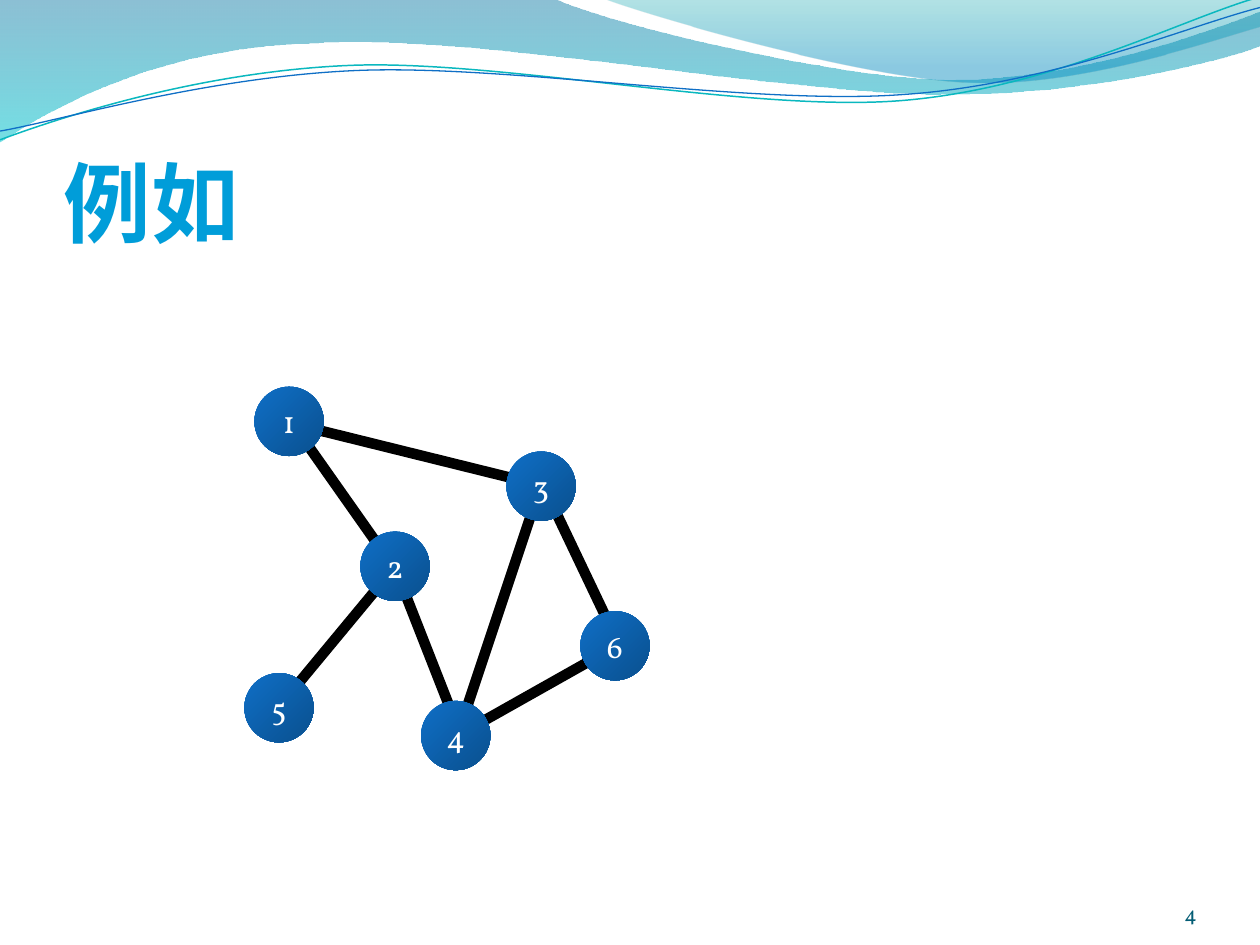
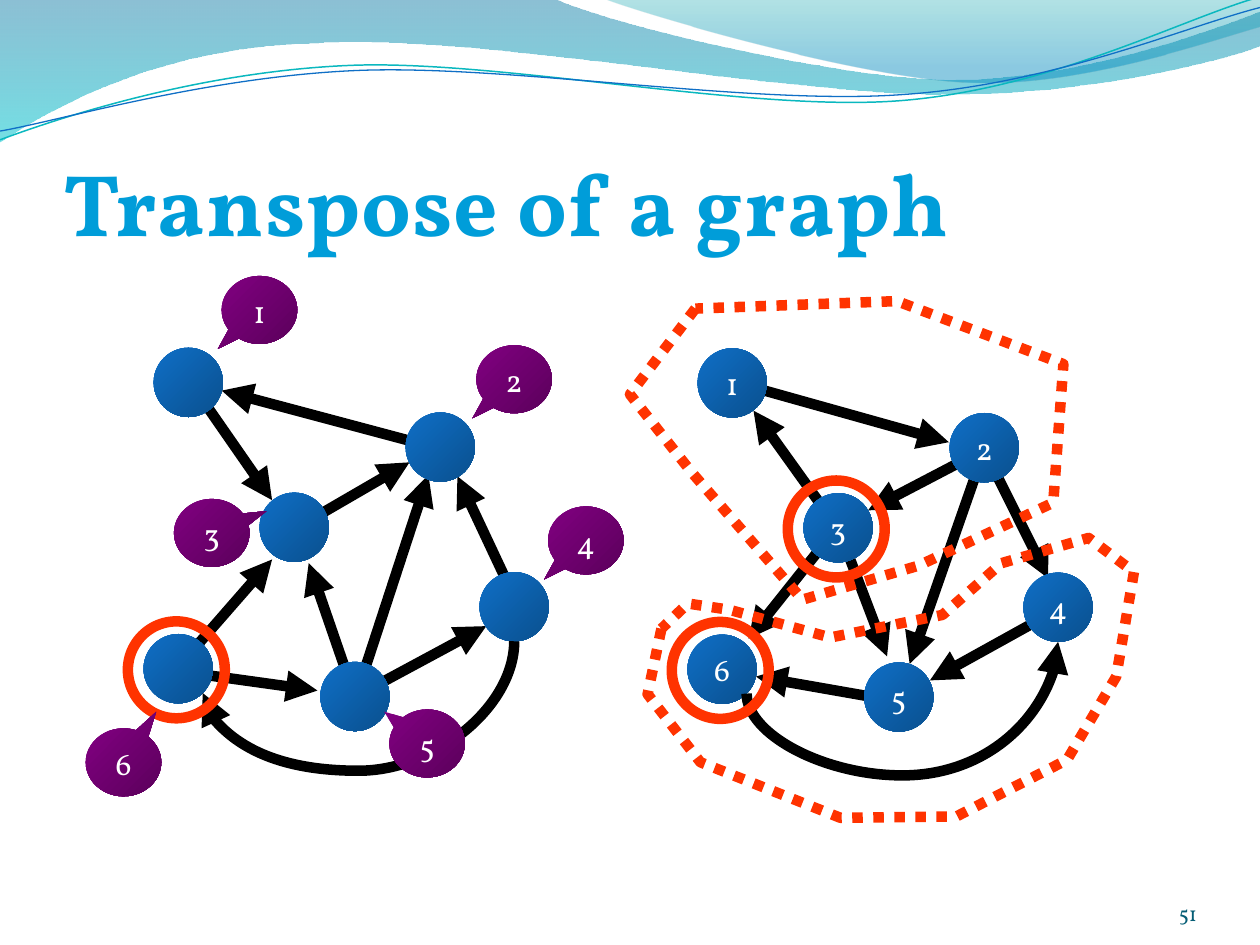
import math
from dataclasses import dataclass

import pptx
import pptx.dml.color
import pptx.enum.dml
import pptx.enum.shapes
import pptx.enum.text
import pptx.oxml.ns
import pptx.util
from lxml import etree

Pt = pptx.util.Pt
qn = pptx.oxml.ns.qn
MSO_SHAPE = pptx.enum.shapes.MSO_SHAPE
MSO_CONNECTOR = pptx.enum.shapes.MSO_CONNECTOR
PP_ALIGN = pptx.enum.text.PP_ALIGN
MSO_ANCHOR = pptx.enum.text.MSO_ANCHOR


@dataclass(frozen=True)
class Theme:
    font: str = "Vollkorn"
    title_color: str = "009DD9"
    number_color: str = "045D75"
    label_color: str = "FFFFFF"
    edge_color: str = "000000"
    mark_color: str = "FF3300"
    node_fill: tuple = ((0, "0F6FC6"), (1, "0F6FC6", "shade", 47843))
    callout_fill: tuple = ((0, "800080"), (1, "800080", "shade", 47843))
    title_size: float = 50
    label_size: float = 18
    number_size: float = 12
    stroke: float = 6


THEME = Theme()
NODE = 39.6
RING = 55.4
RING_NUDGE = (-1, 0.7)
CALLOUT = (43.2, 38.9)
WAVE_TILT = 2.7

WAVE_FILLS = [
    {"start": (0, 0),
     "steps": [(316.8, -0.7), (342.7, 12.2, 478.1, 45.4, 545.8, 45.4),
               (614.2, 45.4, 689.8, 18.7, 720, 6.5), (720.7, 25.9),
               (707.8, 31.7, 626.4, 54.7, 537.1, 54),
               (447.8, 54, 275, 20.2, 185, 24.5),
               (92.9, 25.9, 33.1, 59.8, -0.7, 81.4)],
     "stops": [(0, "0074A1", "alpha", 45000), (1, "00C6CF", "alpha", 55000)]},
    {"start": (344.9, -0.7),
     "steps": [(366.5, 7.9, 491, 44.6, 553.7, 46.8),
               (616.3, 49.7, 691.9, 23, 720, 15.1), (720, 0)],
     "stops": [(0, "00A1A9", "alpha", 30000), (0.8, "008BBF", "alpha", 45000)]},
]
WAVE_LINES = [
    {"start": (0, 79.9), "center": (359.3, 41.4),
     "steps": [(34.6, 67, 113.8, 41, 199.4, 37.4),
               (284.4, 33.8, 427, 64.1, 513.4, 57.6),
               (599.8, 51.1, 675.4, 10.8, 718.6, -1.4)],
     "stroke": ("0AB8BF", 0.85)},
    {"start": (0, 74.9), "center": (359.6, 42.5),
     "steps": [(33.8, 69.1, 118.1, 43.9, 203.8, 40.3),
               (290.2, 36.7, 429.8, 60.5, 516.2, 54),
               (601.9, 48.2, 677.5, 15.1, 720, 4.3)],
     "stroke": ("0F6FC6", 0.75)},
]

SPOTS = {"nw": (0, 0), "mid": (60.5, 82.8), "ne": (144, 37),
         "sw": (-5.8, 163.6), "s": (95.2, 179.5), "e": (186.2, 128.2)}

EXAMPLE = {
    "origin": (145.4, 221),
    "labels": {"nw": "1", "mid": "2", "ne": "3", "sw": "5", "s": "4", "e": "6"},
    "edges": [(226.1, 325.4, 262.8, 419), (165.6, 239.8, 225.4, 324.7),
              (259.9, 421.2, 350.6, 370.1), (163.4, 241.2, 308.9, 277.2),
              (157, 406.8, 226.8, 322.6), (353.5, 367.9, 310.3, 277.2),
              (261.4, 420.5, 309.6, 275.8)],
}
DIRECTED = {
    "origin": (87.8, 198.7),
    "labels": {},
    "edges": [(203, 398.9, 176.4, 321.8), (103.7, 383.8, 181.4, 394.6),
              (167, 303.1, 234, 264.2), (108, 217.4, 155.5, 285.8),
              (220.3, 388.8, 277.9, 357.8), (253.4, 257, 126.7, 223.2),
              (100.8, 382.3, 155.5, 319.7), (295.9, 345.6, 261.4, 272.2),
              (204.5, 394.6, 244.8, 271.4)],
    "curve": ("headEnd", 1.5), "rings": ["sw"],
}
TRANSPOSED = {
    "origin": (398.6, 199),
    "labels": {"nw": "1", "mid": "3", "ne": "2", "sw": "6", "s": "5", "e": "4"},
    "edges": [(479.5, 303.1, 506.9, 375.1), (514.1, 401, 432, 386.6),
              (562.3, 257, 496.1, 291.6), (478.1, 301, 430.6, 234.7),
              (604.1, 348.5, 531.4, 388.8), (416.2, 217.4, 542.2, 252.7),
              (478.1, 301.7, 427.7, 365), (563.8, 259.9, 599, 330.5),
              (562.3, 257.8, 519.8, 379.4)],
    "curve": ("tailEnd", 1.58), "rings": ["sw", "mid"],
}
VISIT_ORDER = [
    ("1", (126.7, 157.7), (-0.552, 0.574)),
    ("2", (272.2, 197.3), (-0.552, 0.574)),
    ("4", (313.2, 289.4), (-0.552, 0.574)),
    ("5", (222.5, 405.4), (-0.57, -0.468)),
    ("3", (99.4, 285.1), (0.724, -0.32)),
    ("6", (49, 416.2), (0.433, -0.744)),
]
COMPONENTS = [
    [(397.4, 176.4), (360, 225.4), (395.3, 270), (458.6, 342.7),
     (524.9, 323.3), (601.9, 287.3), (607.7, 208.1), (512.6, 172.1)],
    [(378, 359.3), (370.1, 396.7), (400.3, 435.6), (480.2, 467.3),
     (546.5, 466.6), (609.8, 434.2), (637.9, 386.6), (648, 326.9),
     (622.1, 307.4), (572.4, 321.8), (538.6, 351.4), (474.5, 364.3),
     (416.9, 348.5), (393.1, 344.9)],
]


def rgb(code):
    return pptx.dml.color.RGBColor.from_string(code)


def set_stroke(line, color=THEME.edge_color, width=THEME.stroke):
    line.color.rgb = rgb(color)
    line.width = Pt(width)


def set_gradient(shape, stops, angle):
    shape.fill.gradient()
    shape.fill.gradient_angle = 360 - angle
    for stop, (position, color, *_) in zip(shape.fill.gradient_stops, stops):
        stop.position = position
        stop.color.rgb = rgb(color)
    for tint, (_, _, *change) in zip(shape.element.xpath(".//a:gs/a:srgbClr"), stops):
        if change:
            kind, amount = change
            etree.SubElement(tint, qn("a:" + kind)).set("val", str(amount))


def set_text(frame, text, size, color, align, anchor):
    frame.vertical_anchor = anchor
    paragraph = frame.paragraphs[0]
    paragraph.text = text
    paragraph.alignment = align
    paragraph.font.name = THEME.font
    paragraph.font.size = Pt(size)
    paragraph.font.color.rgb = rgb(color)
    return paragraph


def set_insets(frame, top=0):
    frame.margin_left = frame.margin_right = frame.margin_bottom = 0
    frame.margin_top = Pt(top)


def add_plain_shape(slide, kind, left, top, width, height):
    shape = slide.shapes.add_shape(kind, Pt(left), Pt(top), Pt(width), Pt(height))
    shape.shadow.inherit = False
    shape.line.fill.background()
    return shape


def add_outline(slide, points, close):
    points = [(Pt(x), Pt(y)) for x, y in points]
    builder = slide.shapes.build_freeform(*points[0], scale=1.0)
    builder.add_line_segments(points[1:], close=close)
    outline = builder.convert_to_shape()
    outline.shadow.inherit = False
    return outline


def add_curved_outline(slide, start, steps, close):
    outline = add_outline(slide, [start] + [step[-2:] for step in steps], close)
    route = outline.element.xpath(".//a:path")[0]
    for segment, step in zip(route.findall(qn("a:lnTo")), steps):
        if len(step) == 2:
            continue
        bend = etree.SubElement(route, qn("a:cubicBezTo"))
        for x, y in zip(step[::2], step[1::2]):
            point = etree.SubElement(bend, qn("a:pt"))
            point.set("x", str(Pt(x) - outline.left))
            point.set("y", str(Pt(y) - outline.top))
        route.replace(segment, bend)
    return outline


def turn(flat, center, degrees):
    cos, sin = math.cos(math.radians(degrees)), math.sin(math.radians(degrees))
    turned = []
    for x, y in zip(flat[::2], flat[1::2]):
        dx, dy = x - center[0], y - center[1]
        turned += [center[0] + dx * cos - dy * sin, center[1] + dx * sin + dy * cos]
    return tuple(turned)


def add_waves(slide, master):
    waves = []
    for wave in WAVE_FILLS:
        band = add_curved_outline(slide, wave["start"], wave["steps"], True)
        band.line.fill.background()
        set_gradient(band, wave["stops"], 90)
        waves.append(band)
    for wave in WAVE_LINES:
        start, *steps = [turn(flat, wave["center"], WAVE_TILT)
                         for flat in [wave["start"], *wave["steps"]]]
        ripple = add_curved_outline(slide, start, steps, False)
        ripple.rotation = 360 - WAVE_TILT
        ripple.fill.background()
        set_stroke(ripple.line, *wave["stroke"])
        waves.append(ripple)
    for order, wave in enumerate(waves):
        wave.element.nvSpPr.cNvPr.set("id", str(100 + order))
        master.shapes.element.insert(2 + order, wave.element)


def finish_edge(edge, arrow_end=None):
    set_stroke(edge.line)
    properties = edge.element.spPr
    if arrow_end:
        line = properties.find(qn("a:ln"))
        etree.SubElement(line, qn("a:" + arrow_end)).set("type", "triangle")
    etree.SubElement(properties, qn("a:effectLst"))


def add_curve(slide, source, target, arrow_end, sag):
    reach = NODE / 2 * math.sqrt(0.5)
    x1 = source.left.pt + NODE / 2 + reach
    y1 = source.top.pt + NODE / 2 + reach
    x2 = target.left.pt + NODE / 2
    y2 = target.top.pt + NODE
    across, rise = x2 - x1, y1 - y2
    left, top = (x1 + x2 - rise) / 2, (y1 + y2 - across) / 2
    curve = slide.shapes.add_connector(
        MSO_CONNECTOR.CURVE, Pt(left + rise), Pt(top + across), Pt(left), Pt(top))
    curve.element.spPr.find(qn("a:xfrm")).set("rot", "5400000")
    guides = curve.element.spPr.find(qn("a:prstGeom")).find(qn("a:avLst"))
    guide = etree.SubElement(guides, qn("a:gd"))
    guide.set("name", "adj1")
    guide.set("fmla", f"val {round(-sag * 100000)}")
    curve._connect_begin_to(source, 5)
    curve._connect_end_to(target, 4)
    finish_edge(curve, arrow_end)


def add_graph(slide, graph):
    left, top = graph["origin"]
    for edge_ends in graph["edges"]:
        edge = slide.shapes.add_connector(MSO_CONNECTOR.STRAIGHT, *map(Pt, edge_ends))
        finish_edge(edge, "tailEnd" if "curve" in graph else None)
    nodes = {}
    for spot, (x, y) in SPOTS.items():
        node = add_plain_shape(slide, MSO_SHAPE.OVAL, left + x, top + y, NODE, NODE)
        set_gradient(node, THEME.node_fill, 45)
        if spot in graph["labels"]:
            node.text_frame.word_wrap = False
            set_text(node.text_frame, graph["labels"][spot], THEME.label_size,
                     THEME.label_color, PP_ALIGN.CENTER, MSO_ANCHOR.MIDDLE)
        nodes[spot] = node
    if "curve" in graph:
        add_curve(slide, nodes["sw"], nodes["e"], *graph["curve"])
    for spot in graph.get("rings", []):
        x, y = (start + offset + nudge + (NODE - RING) / 2 for start, offset, nudge
                in zip(graph["origin"], SPOTS[spot], RING_NUDGE))
        ring = add_plain_shape(slide, MSO_SHAPE.OVAL, x, y, RING, RING)
        ring.fill.background()
        set_stroke(ring.line, THEME.mark_color)


def add_callouts(slide):
    for label, corner, pointer in VISIT_ORDER:
        callout = add_plain_shape(slide, MSO_SHAPE.OVAL_CALLOUT, *corner, *CALLOUT)
        callout.adjustments[0], callout.adjustments[1] = pointer
        set_gradient(callout, THEME.callout_fill, 45)
        set_text(callout.text_frame, label, THEME.label_size,
                 THEME.label_color, PP_ALIGN.CENTER, MSO_ANCHOR.TOP)


def add_components(slide):
    for corners in COMPONENTS:
        region = add_outline(slide, corners, True)
        region.fill.background()
        set_stroke(region.line, THEME.mark_color)
        region.line.dash_style = pptx.enum.dml.MSO_LINE.ROUND_DOT


def start_slide(deck, heading, number):
    slide = deck.slides.add_slide(deck.slide_layouts[5])
    title = slide.shapes.title
    title.left, title.top, title.width, title.height = Pt(36), Pt(55.4), Pt(648), Pt(90)
    set_insets(title.text_frame, 3.6)
    title.text_frame.auto_size = pptx.enum.text.MSO_AUTO_SIZE.NONE
    line = set_text(title.text_frame, heading, THEME.title_size,
                    THEME.title_color, PP_ALIGN.LEFT, MSO_ANCHOR.BOTTOM)
    line.font.bold = True
    line.font._element.set("spc", "50")
    line.runs[0].font.language_id = pptx.enum.lang.MSO_LANGUAGE_ID.SIMPLIFIED_CHINESE
    page = slide.shapes.add_textbox(Pt(624), Pt(500.4), Pt(60), Pt(28.8))
    page.text_frame.word_wrap = True
    set_insets(page.text_frame)
    set_text(page.text_frame, number, THEME.number_size,
             THEME.number_color, PP_ALIGN.RIGHT, MSO_ANCHOR.BOTTOM)
    return slide


def main():
    deck = pptx.Presentation()
    deck.slide_width, deck.slide_height = Pt(720), Pt(540)
    example = start_slide(deck, "例如", "4")
    add_waves(example, deck.slide_master)
    add_graph(example, EXAMPLE)
    transpose = start_slide(deck, "Transpose of a graph", "51")
    add_graph(transpose, DIRECTED)
    add_graph(transpose, TRANSPOSED)
    add_callouts(transpose)
    add_components(transpose)
    deck.save("out.pptx")


if __name__ == "__main__":
    main()
